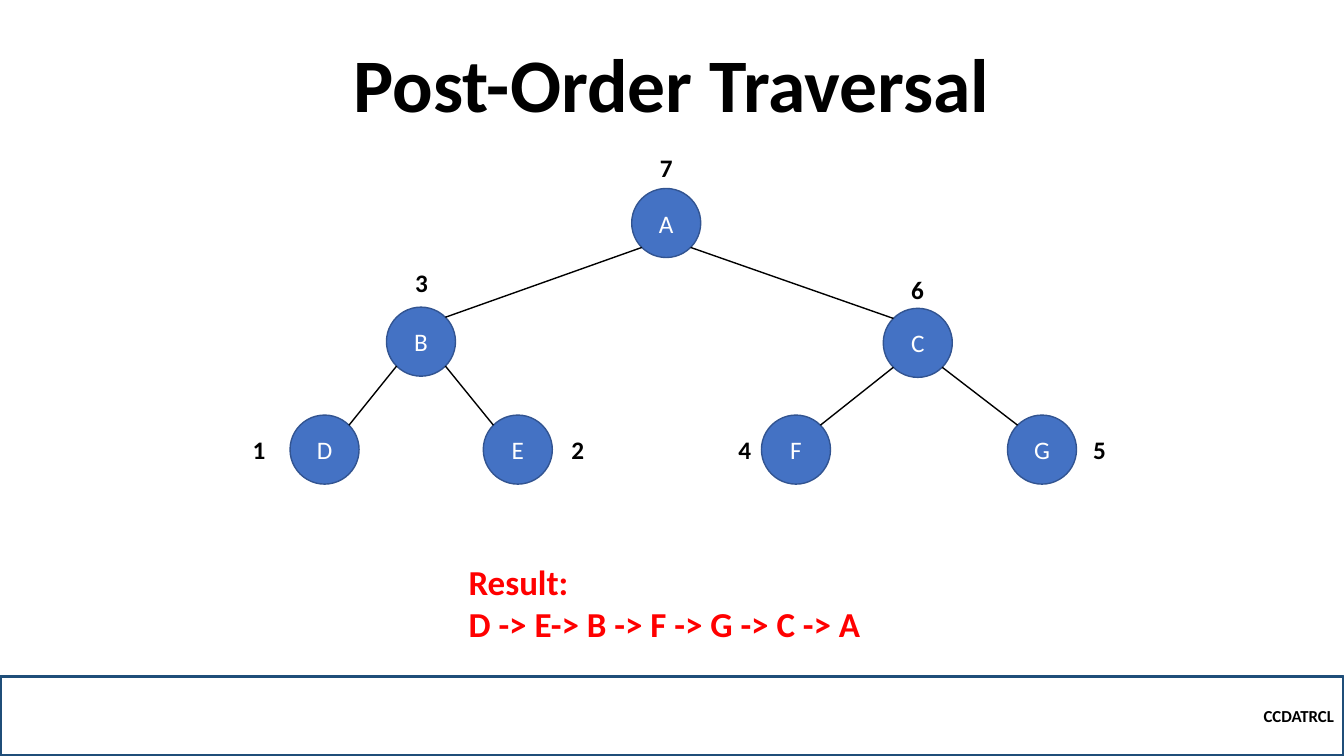
from math import sqrt

from pptx import Presentation
from pptx.dml.color import RGBColor
from pptx.enum.shapes import MSO_CONNECTOR, MSO_SHAPE
from pptx.enum.text import MSO_ANCHOR, MSO_AUTO_SIZE, PP_ALIGN
from pptx.oxml.ns import qn
from pptx.util import Cm, Pt
from lxml.etree import SubElement

BLACK = RGBColor(0x00, 0x00, 0x00)
WHITE = RGBColor(0xFF, 0xFF, 0xFF)
RED = RGBColor(0xFF, 0x00, 0x00)
NODE_FILL = RGBColor(0x44, 0x72, 0xC4)
NODE_LINE = RGBColor(0x32, 0x54, 0x91)
FOOTER_LINE = RGBColor(0x1F, 0x4E, 0x79)

FONT = "Calibri"
SLIDE_WIDTH, SLIDE_HEIGHT = 33.87, 19.05
FOOTER_HEIGHT = 2.01
NODE_SIZE = 1.74

NODE_CENTRES = {
    "A": (16.79, 5.62),
    "B": (10.61, 8.61),
    "C": (23.13, 8.64),
    "D": (8.18, 11.33),
    "E": (13.05, 11.33),
    "F": (20.06, 11.33),
    "G": (26.26, 11.33),
}
CHILDREN = {"A": "BC", "B": "DE", "C": "FG"}
VISIT_LABELS = {
    "1": (6.12, 10.82),
    "2": (14.15, 10.82),
    "3": (10.21, 6.6),
    "4": (18.36, 10.82),
    "5": (27.3, 10.82),
    "6": (22.71, 6.78),
    "7": (16.38, 3.71),
}


def write_text(shape, lines, size, color, bold=True, align=PP_ALIGN.LEFT):
    frame = shape.text_frame
    frame.text = "\n".join(lines)
    for paragraph in frame.paragraphs:
        paragraph.alignment = align
        paragraph.font.name = FONT
        paragraph.font.size = Pt(size)
        paragraph.font.bold = bold
        paragraph.font.color.rgb = color


def add_title(slide, text):
    shape = slide.shapes.add_textbox(Cm(4.23), Cm(1.37), Cm(25.4), Cm(2.01))
    shape.text_frame.word_wrap = True
    shape.text_frame.vertical_anchor = MSO_ANCHOR.BOTTOM
    write_text(shape, [text], 54, BLACK, align=PP_ALIGN.CENTER)
    shape.text_frame.paragraphs[0].line_spacing = 0.9


def add_footer(slide, text):
    shape = slide.shapes.add_shape(
        MSO_SHAPE.RECTANGLE, 0, Cm(SLIDE_HEIGHT - FOOTER_HEIGHT),
        Cm(SLIDE_WIDTH), Cm(FOOTER_HEIGHT))
    shape.shadow.inherit = False
    shape.fill.background()
    shape.line.color.rgb = FOOTER_LINE
    shape.line.width = Pt(2.25)
    shape.text_frame.vertical_anchor = MSO_ANCHOR.MIDDLE
    write_text(shape, [text], 12, BLACK, align=PP_ALIGN.RIGHT)


def add_node(slide, name):
    x, y = NODE_CENTRES[name]
    shape = slide.shapes.add_shape(
        MSO_SHAPE.OVAL, Cm(x - NODE_SIZE / 2), Cm(y - NODE_SIZE / 2),
        Cm(NODE_SIZE), Cm(NODE_SIZE))
    shape.shadow.inherit = False
    shape.fill.solid()
    shape.fill.fore_color.rgb = NODE_FILL
    shape.line.color.rgb = NODE_LINE
    shape.line.width = Pt(1)
    shape.text_frame.vertical_anchor = MSO_ANCHOR.MIDDLE
    write_text(shape, [name], 18, WHITE, bold=False, align=PP_ALIGN.CENTER)


def add_edge(slide, parent, child):
    parent_x, parent_y = NODE_CENTRES[parent]
    child_x, child_y = NODE_CENTRES[child]
    reach = NODE_SIZE / 2 / sqrt(2)
    side = reach if child_x > parent_x else -reach
    connector = slide.shapes.add_connector(
        MSO_CONNECTOR.STRAIGHT,
        Cm(parent_x + side), Cm(parent_y + reach),
        Cm(child_x - side), Cm(child_y - reach))
    connector.line.color.rgb = BLACK
    connector.line.width = Pt(1)
    SubElement(connector.line._get_or_add_ln().getparent(), qn("a:effectLst"))


def add_visit_label(slide, number, left, top):
    shape = slide.shapes.add_textbox(Cm(left), Cm(top), Cm(0.84), Cm(1.02))
    shape.text_frame.word_wrap = False
    shape.text_frame.auto_size = MSO_AUTO_SIZE.SHAPE_TO_FIT_TEXT
    write_text(shape, [number], 18, BLACK)


def add_result(slide, lines):
    shape = slide.shapes.add_textbox(Cm(11.56), Cm(14), Cm(10.77), Cm(2.39))
    shape.text_frame.word_wrap = True
    shape.text_frame.auto_size = MSO_AUTO_SIZE.SHAPE_TO_FIT_TEXT
    write_text(shape, lines, 25, RED)


def main():
    presentation = Presentation()
    presentation.slide_width = Cm(SLIDE_WIDTH)
    presentation.slide_height = Cm(SLIDE_HEIGHT)
    slide = presentation.slides.add_slide(presentation.slide_layouts[6])

    add_title(slide, "Post-Order Traversal")
    add_footer(slide, "CCDATRCL")
    for name in NODE_CENTRES:
        add_node(slide, name)
    for parent, children in CHILDREN.items():
        for child in children:
            add_edge(slide, parent, child)
    add_result(slide, ["Result:", "D -> E-> B -> F -> G -> C -> A"])
    for number, (left, top) in VISIT_LABELS.items():
        add_visit_label(slide, number, left, top)

    presentation.save("out.pptx")


if __name__ == "__main__":
    main()
